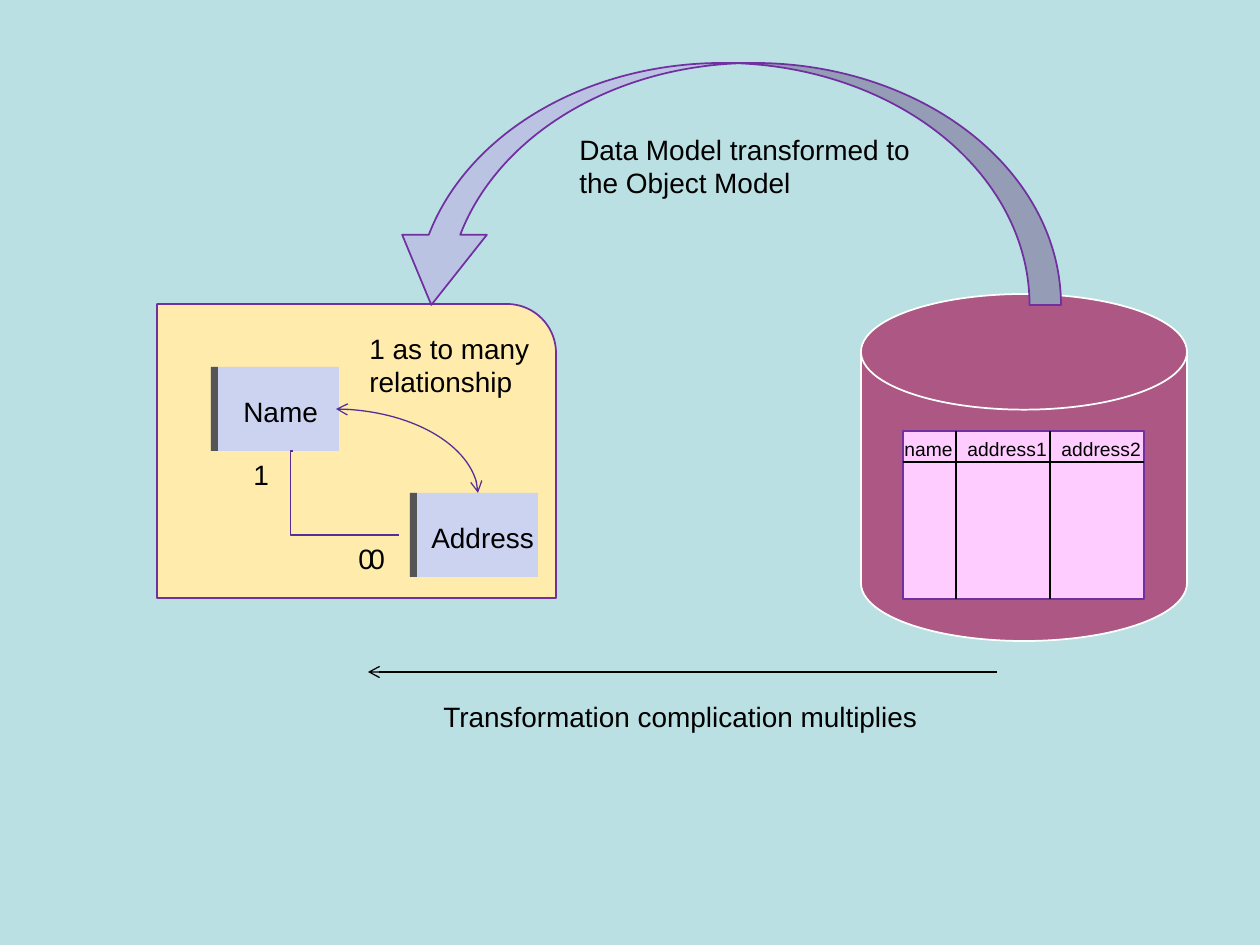
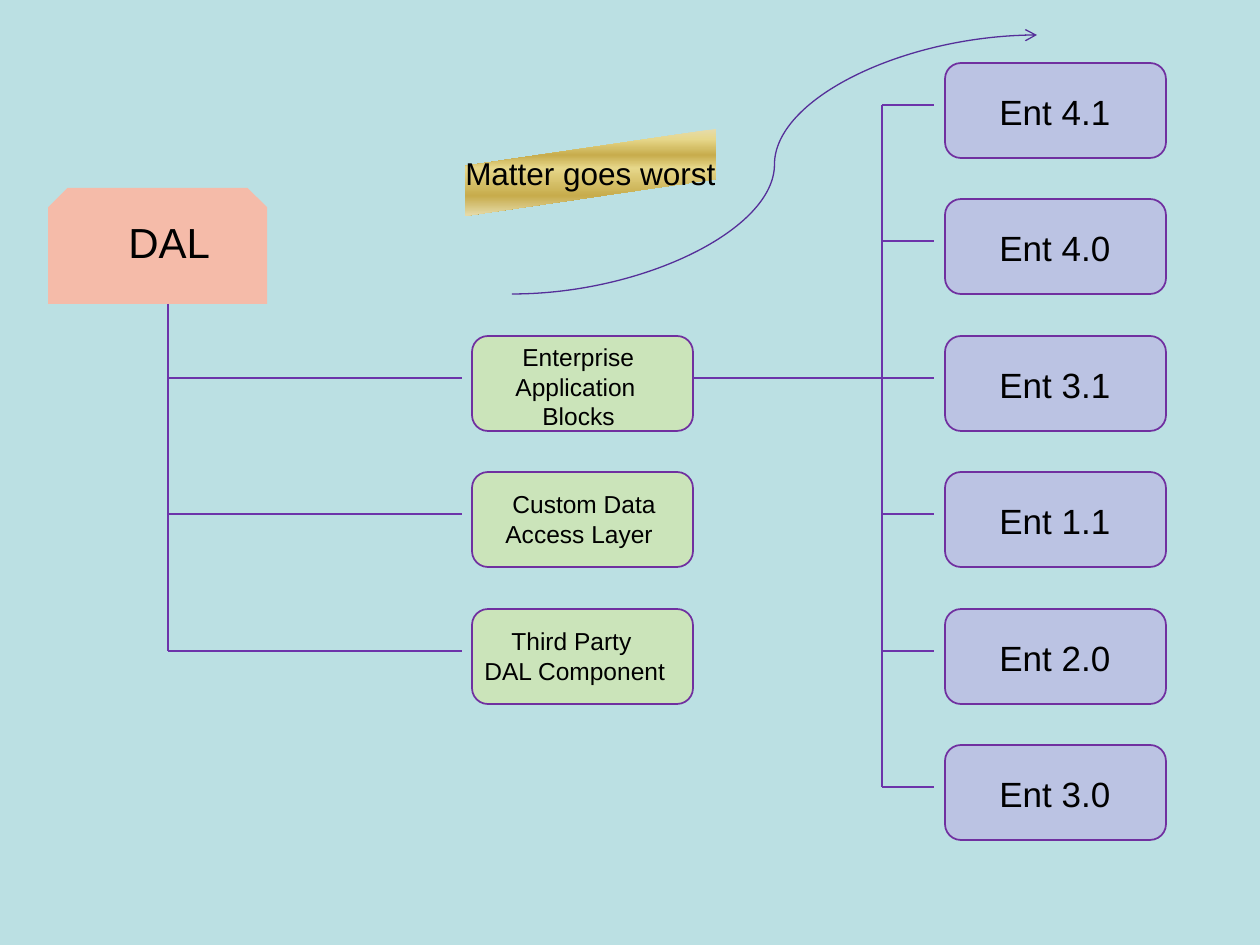
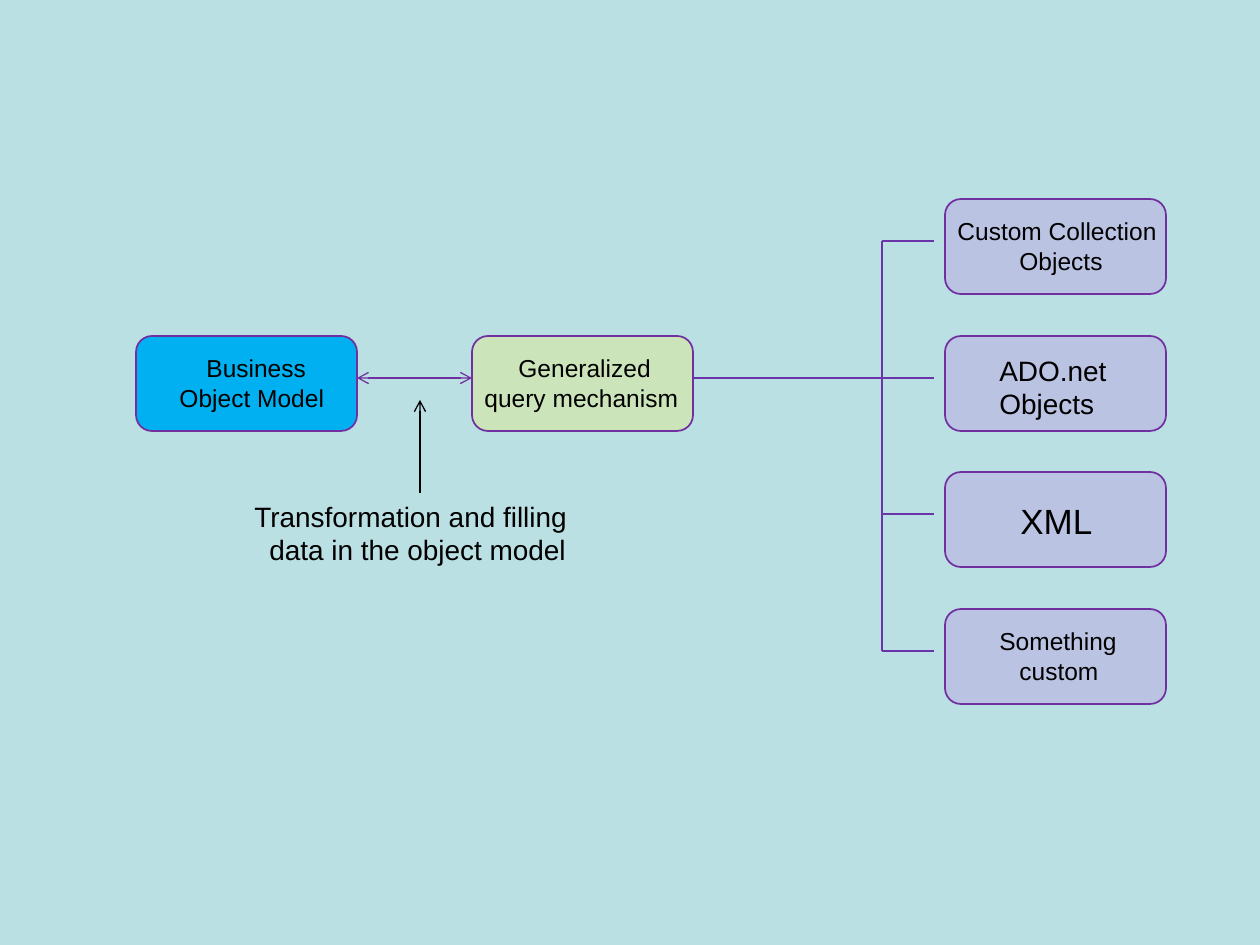
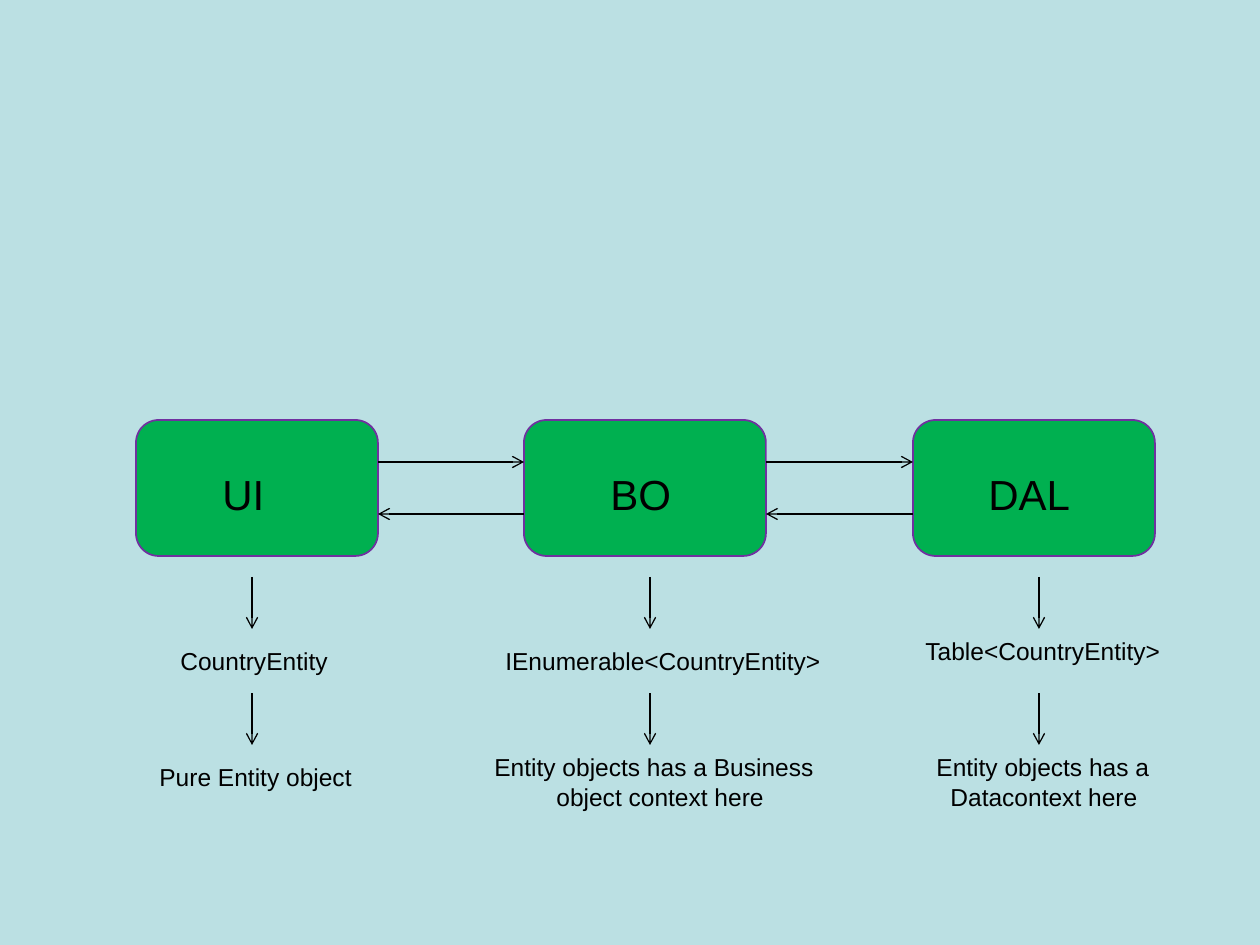
from dataclasses import dataclass

from lxml import etree
from pptx import Presentation
from pptx.dml.color import RGBColor
from pptx.enum.shapes import MSO_CONNECTOR, MSO_SHAPE
from pptx.enum.text import MSO_ANCHOR, MSO_AUTO_SIZE, PP_ALIGN
from pptx.oxml.ns import qn
from pptx.util import Pt

RECT = MSO_SHAPE.RECTANGLE
ROUNDED = MSO_SHAPE.ROUNDED_RECTANGLE
ROUND_CORNER = MSO_SHAPE.ROUND_1_RECTANGLE
SNIPPED = MSO_SHAPE.SNIP_2_SAME_RECTANGLE
DISK = MSO_SHAPE.FLOWCHART_MAGNETIC_DISK
CURVED_ARROW = MSO_SHAPE.CURVED_RIGHT_ARROW
STRAIGHT = MSO_CONNECTOR.STRAIGHT
ELBOW = MSO_CONNECTOR.ELBOW
CURVE = MSO_CONNECTOR.CURVE
MIDDLE = MSO_ANCHOR.MIDDLE
CENTER = PP_ALIGN.CENTER
FIT_SHAPE = MSO_AUTO_SIZE.SHAPE_TO_FIT_TEXT
BLANK = 6


@dataclass(frozen=True)
class Theme:
    """Colours, font and type sizes of the deck."""
    font: str = "Arial"
    background: str = "BBE0E3"
    ink: str = "000000"
    white: str = "FFFFFF"
    outline: str = "7030A0"
    branch: str = "6C34AA"
    curve: str = "552F99"
    lilac: str = "BBC3E3"
    entity: str = "CBD3F1"
    entity_edge: str = "555555"
    green: str = "CBE4BA"
    emerald: str = "00B050"
    blue: str = "00B0F0"
    cream: str = "FFEBAB"
    pink: str = "FFCCFF"
    plum: str = "AD5784"
    salmon: str = "F5BBA9"
    gold: tuple = ((0, "E6DCAC"), (12, "E6D78A"), (30, "C7AC4C"),
                   (45, "E6D78A"), (77, "C7AC4C"), (100, "E6DCAC"))
    tiny: int = 11
    small: int = 14
    body: int = 16
    banner: int = 18
    large: int = 20
    title: int = 24
    thin: float = 0.75
    border: float = 1


T = Theme()


def px(n):
    """Turn pixels at 126 to the inch into EMU."""
    return round(n * 914400 / 126)


def rgb(color):
    """Make a colour from its hex digits."""
    return RGBColor.from_string(color)


def shape(s, kind, box, fill, line=T.outline):
    """Draw a flat preset shape; a line of None leaves it without outline."""
    sp = s.shapes.add_shape(kind, *map(px, box))
    sp.shadow.inherit = False
    sp.fill.solid()
    sp.fill.fore_color.rgb = rgb(fill)
    if line is None:
        sp.line.fill.background()
    else:
        sp.line.color.rgb = rgb(line)
        sp.line.width = Pt(T.border)
    return sp


def write(tf, text, size):
    """Set the text of a frame and format its runs."""
    tf.text = text
    for p in tf.paragraphs:
        for r in p.runs:
            r.font.name = T.font
            r.font.size = Pt(size)
            r.font.color.rgb = rgb(T.ink)


def label(s, x, y, w, text, size, indents=(), wrap=False):
    """Place a text box whose lines may each have a left indent."""
    h = 13 + 2 * size * (text.count("\n") + 1)
    tf = s.shapes.add_textbox(px(x), px(y), px(w), px(h)).text_frame
    write(tf, text, size)
    tf.word_wrap = wrap
    tf.auto_size = FIT_SHAPE
    for p, indent in zip(tf.paragraphs, indents):
        p._p.get_or_add_pPr().set("marL", str(px(indent)))


def line(s, start, end, color=T.ink, kind=STRAIGHT, head=False, tail=False):
    """Draw a thin connector with optional open arrowheads."""
    c = s.shapes.add_connector(kind, *map(px, (*start, *end)))
    c.line.color.rgb = rgb(color)
    c.line.width = Pt(T.thin)
    ln = c.line._get_or_add_ln()
    for shown, tag in ((head, "a:headEnd"), (tail, "a:tailEnd")):
        if shown:
            etree.SubElement(ln, qn(tag), type="arrow")
    etree.SubElement(c.element.spPr, qn("a:effectLst"))
    return c


def database(s, x, y):
    """Draw the database disk holding a three-column table."""
    shape(s, DISK, (x, y, 326, 347), T.plum, T.white)
    left, top, w, h = x + 42, y + 137, 241, 168
    shape(s, RECT, (left, top, w, h), T.pink)
    line(s, (left, top + 31), (left + w, top + 31))
    for dx in (53, 147):
        line(s, (left + dx, top), (left + dx, top + h))
    for dx, width, name in ((-11, 74, "name"), (52, 106, "address1"),
                            (146, 106, "address2")):
        label(s, left + dx, top, width, name, T.tiny)


def entity(s, x, y, text, dx, w):
    """Draw an entity block with a dark left edge and its name."""
    shape(s, RECT, (x, y, 128, 84), T.entity, None)
    shape(s, RECT, (x, y, 7, 84), T.entity_edge, None)
    label(s, x + dx, y + 21, w, text, T.body)


def object_model(s, x, y):
    """Draw the panel relating the two entities."""
    shape(s, ROUND_CORNER, (x, y, 399, 294), T.cream)
    entity(s, x + 54, y + 63, "Name", 20, 101)
    entity(s, x + 253, y + 189, "Address", 9, 129)
    link = line(s, (x + 136, y + 147), (x + 242, y + 231), T.curve, ELBOW)
    link.element.spPr.find(qn("a:prstGeom")).find(qn("a:avLst")).append(
        etree.Element(qn("a:gd"), name="adj1", fmla="val -2300"))
    arc = line(s, (x + 179, y + 105), (x + 321, y + 189), T.curve, CURVE,
               head=True, tail=True)
    arc.element.spPr.find(qn("a:prstGeom")).set("prst", "curvedConnector2")
    label(s, x + 200, y + 21, 195, "1 as to many\nrelationship", T.body)
    for dx, dy, mark in ((84, 147, "1"), (189, 231, "0"), (200, 231, "0")):
        label(s, x + dx, y + dy, 42, mark, T.body)


def transformation_slide(s):
    """Show the data model turning into the object model."""
    database(s, 861, 294)
    object_model(s, 157, 304)
    arrow = shape(s, CURVED_ARROW, (604, -152, 242, 672), T.lilac)
    arrow.rotation = 90
    for i, value in enumerate((0.13, 0.35, 0.29)):
        arrow.adjustments[i] = value
    label(s, 567, 126, 368, "Data Model transformed to the Object Model",
          T.body, wrap=True)
    label(s, 431, 693, 505, "Transformation complication multiplies", T.body)
    line(s, (997, 672), (368, 672), tail=True)


def row_top(i):
    """Give the top of a row of cards."""
    return 63 + 273 * i // 2


def card(s, x, row, fill, text, size, dx, dy, w, indents=()):
    """Draw a rounded card on a row with its label offset inside."""
    y = row_top(row)
    shape(s, ROUNDED, (x, y, 221, 95), fill)
    label(s, x + dx, y + dy, w, text, size, indents)


def branches(s, x, end, rows, top=None):
    """Draw a trunk with one branch to each row."""
    ys = [row_top(row) + 42 for row in rows]
    line(s, (x, top or ys[0]), (x, ys[-1]), T.branch)
    for y in ys:
        line(s, (x, y), (end, y), T.branch)


def fan_out(s, rows):
    """Link the middle card to the column of cards on the right."""
    branches(s, 882, 934, rows)
    y = row_top(2) + 42
    line(s, (693, y), (882, y), T.branch)


def gold_ribbon(s, x, y, w, h, text):
    """Draw a slanted gold ribbon with a level caption."""
    rise = 37
    fb = s.shapes.build_freeform(x, y + rise, scale=px(1))
    fb.add_line_segments([(x + w, y), (x + w, y + h - rise), (x, y + h)])
    sp = fb.convert_to_shape()
    sp.shadow.inherit = False
    sp.line.fill.background()
    sp.fill.gradient()
    sp.fill.gradient_angle = 270
    stops = next(sp.element.iter(qn("a:gsLst")))
    stops.clear()
    for position, color in T.gold:
        stop = etree.SubElement(stops, qn("a:gs"), pos=str(position * 1000))
        etree.SubElement(stop, qn("a:srgbClr"), val=color)
    tf = sp.text_frame
    write(tf, text, T.banner)
    tf.word_wrap = False
    tf.vertical_anchor = MIDDLE
    tf.paragraphs[0].alignment = CENTER


def layers_slide(s):
    """Show the data access choices and their versions."""
    for row, version in enumerate(("4.1", "4.0", "3.1", "1.1", "2.0", "3.0")):
        card(s, 945, row, T.lilac, f"Ent {version}", T.large, 42, 21, 137)
    choices = (
        ("Enterprise\nApplication\nBlocks", 31, 0, 159, (7, 0, 27)),
        ("Custom Data\nAccess Layer", 21, 11, 183, (7, 0)),
        ("Third Party\nDAL Component", 0, 11, 207, (27, 0)),
    )
    for row, (text, dx, dy, w, indents) in enumerate(choices, 2):
        card(s, 472, row, T.green, text, T.small, dx, dy, w, indents)
    shape(s, SNIPPED, (48, 188, 219, 116), T.salmon, None)
    label(s, 116, 210, 108, "DAL", T.title)
    branches(s, 168, 462, range(2, 5), top=304)
    fan_out(s, range(6))
    line(s, (512, 294), (1037, 35), T.curve, CURVE, tail=True)
    gold_ribbon(s, 465, 129, 251, 87, "Matter goes worst")


def query_slide(s):
    """Show the generalized query mechanism and its sources."""
    sources = (
        ("Custom Collection\nObjects", T.small, 0, 233, (0, 62)),
        ("ADO.net\nObjects", T.body, 42, 142, ()),
        ("XML", T.large, 63, 98, ()),
        ("Something\ncustom", T.small, 42, 150, (0, 20)),
    )
    for row, (text, size, dx, w, indents) in enumerate(sources, 1):
        dy = 21 if size == T.large else 11
        card(s, 945, row, T.lilac, text, size, dx, dy, w, indents)
    card(s, 472, 2, T.green, "Generalized\nquery mechanism", T.small,
         0, 11, 221, (34, 0))
    card(s, 136, 2, T.blue, "Business\nObject Model", T.small,
         31, 11, 171, (27, 0))
    fan_out(s, range(1, 5))
    line(s, (472, 378), (357, 378), T.outline, head=True, tail=True)
    line(s, (420, 493), (420, 400), tail=True)
    label(s, 242, 493, 349, "Transformation and filling\ndata in the object model",
          T.body, (0, 15))


def tier(s, x, name, name_dx, name_w, arrow_dx, notes):
    """Draw a tier box with two notes below it, each under an arrow."""
    shape(s, ROUNDED, (x, 420, 242, 136), T.emerald)
    label(s, x + name_dx, 462, name_w, name, T.title)
    for arrow_y, (text, dx, y, w, indents) in zip((577, 693), notes):
        line(s, (x + arrow_dx, arrow_y), (x + arrow_dx, arrow_y + 52), tail=True)
        label(s, x + dx, y, w, text, T.small, indents)


def tiers_slide(s):
    """Show the three tiers and the entity form each one uses."""
    tiers = (
        ("UI", 74, 68, 116,
         (("CountryEntity", 32, 640, 174, ()),
          ("Pure Entity object", 11, 756, 221, ()))),
        ("BO", 74, 87, 126,
         (("IEnumerable<CountryEntity>", -31, 640, 343, ()),
          ("Entity objects has a Business\nobject context here",
           -42, 746, 354, (0, 62)))),
        ("DAL", 63, 108, 126,
         (("Table<CountryEntity>", 0, 630, 261, ()),
          ("Entity objects has a\nDatacontext here", 11, 746, 247, (0, 14)))),
    )
    lefts = [136 + 777 * i // 2 for i in range(len(tiers))]
    for x, parts in zip(lefts, tiers):
        tier(s, x, *parts)
    for x, next_x in zip(lefts, lefts[1:]):
        line(s, (x + 242, 462), (next_x, 462), tail=True)
        line(s, (next_x, 514), (x + 242, 514), tail=True)


def main():
    """Build the deck."""
    prs = Presentation()
    prs.slide_width, prs.slide_height = px(1260), px(945)
    fill = prs.slide_master.background.fill
    fill.solid()
    fill.fore_color.rgb = rgb(T.background)
    for build in (transformation_slide, layers_slide, query_slide, tiers_slide):
        build(prs.slides.add_slide(prs.slide_layouts[BLANK]))
    prs.save("out.pptx")


if __name__ == "__main__":
    main()
